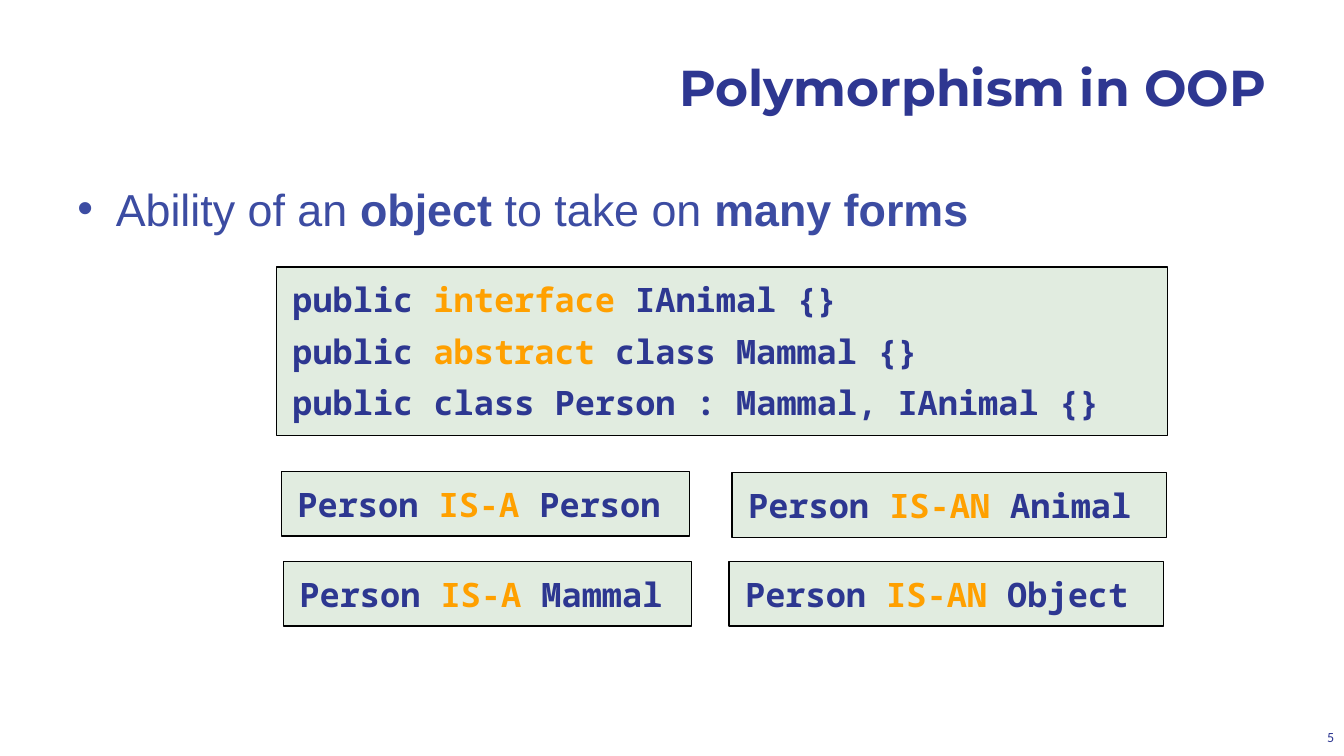
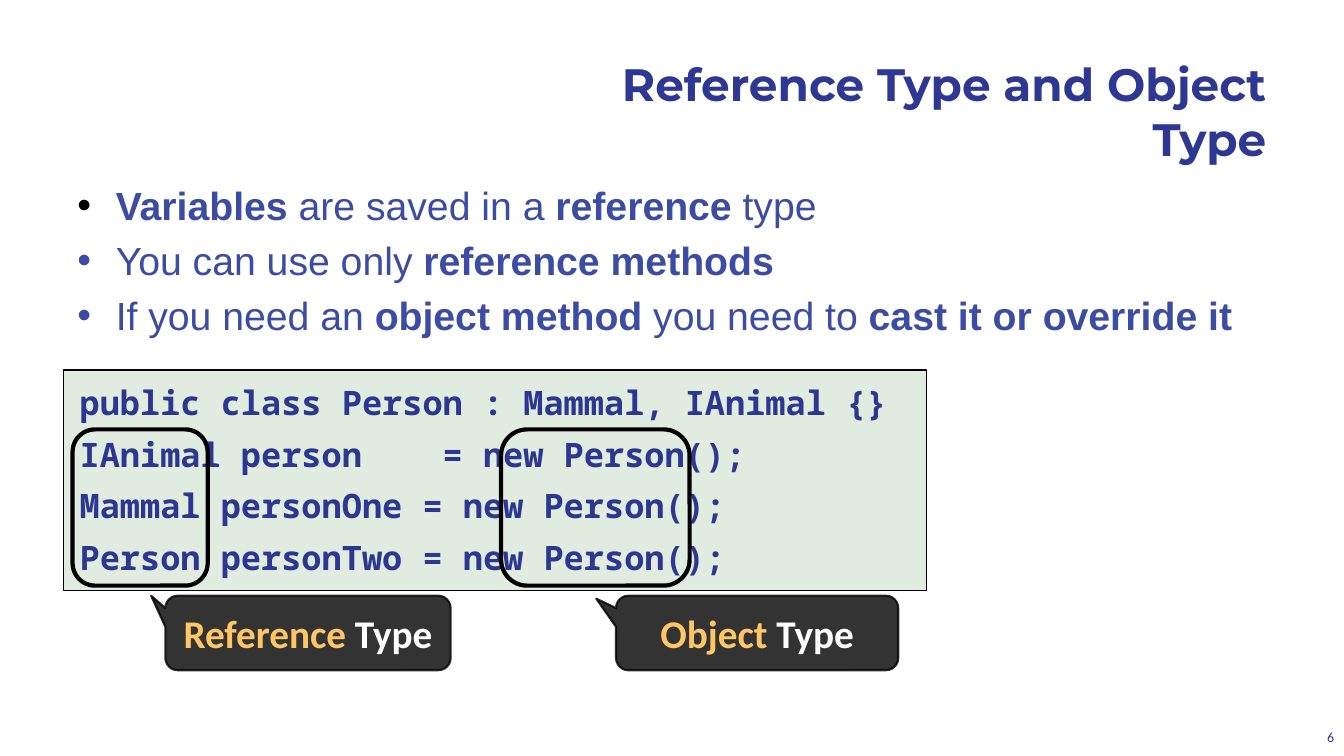
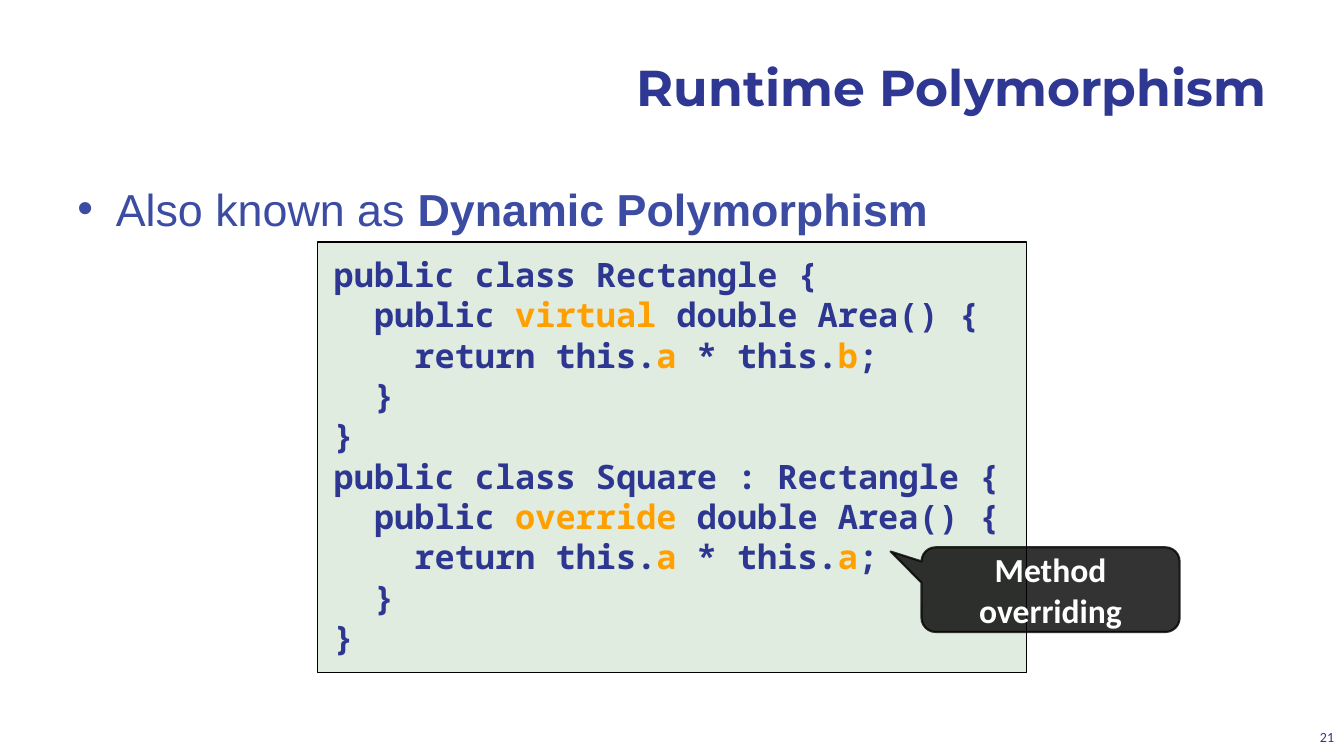
from lxml import etree
from pptx import Presentation
from pptx import util as u
from pptx.dml.color import RGBColor
from pptx.enum import shapes, text
from pptx.oxml import ns

PX = 9144  # EMU in one px, 100 px to the inch


class Theme:
    navy, title_navy, blue = "2D3791", "2E3791", "3C4CA2"
    black, white, green = "000000", "FFFFFF", "3A8235"
    orange, amber = "FFA000", "FFC666"

    # Font formats: plain text, and what changes between bars
    title = dict(name="Montserrat", size=36, bold=True, color=title_navy)
    body = dict(name="Arial", size=32, bold=False, color=blue)
    code = dict(name="Noto Sans Mono", size=24, bold=True, color=navy)
    label = dict(name="Calibri", size=28, bold=True, color=white)
    number = dict(name="Calibri", size=10, bold=False, color=navy)
    strong = dict(bold=True)
    keyword = dict(color=orange)
    highlight = dict(color=amber)

    # Shape styles
    code_box = dict(
        kind=shapes.MSO_SHAPE.RECTANGLE, fill=green, fill_alpha=15, line_alpha=100,
        line=1, font=code, accent=keyword, gap=4, margins=(16, 12),
        align=text.PP_ALIGN.LEFT, anchor=text.MSO_ANCHOR.TOP,
        fit=text.MSO_AUTO_SIZE.SHAPE_TO_FIT_TEXT)
    listing = dict(code_box, gap=0)
    callout = dict(
        kind=shapes.MSO_SHAPE.ROUNDED_RECTANGULAR_CALLOUT, fill=black,
        fill_alpha=80, line_alpha=80, line=1.5, font=label, accent=highlight,
        gap=0, margins=(10, 5), align=text.PP_ALIGN.CENTER,
        anchor=text.MSO_ANCHOR.MIDDLE, fit=text.MSO_AUTO_SIZE.NONE)
    small_callout = dict(callout, font=dict(label, size=24))
    ring = dict(callout, kind=shapes.MSO_SHAPE.ROUNDED_RECTANGLE, fill=None,
                line_alpha=100, line=3)


def write(para, words, base, accent=None):
    """Add runs to a paragraph; words between bars take the accent format."""
    for i, piece in enumerate(words.split("|")):
        if not piece:
            continue
        span = para.add_run()
        span.text = piece
        values = {**base, **(accent or {})} if i % 2 else dict(base)
        span.font.color.rgb = RGBColor.from_string(values.pop("color"))
        values["size"] = u.Pt(values["size"])
        for name, value in values.items():
            setattr(span.font, name, value)


def set_frame(frame, margins=(10, 5), **values):
    """Set the margins, wrapping and other values of a text frame."""
    across, down = (m * PX for m in margins)
    values.update(margin_left=across, margin_right=across, margin_top=down,
                  margin_bottom=down, word_wrap=True)
    for name, value in values.items():
        setattr(frame, name, value)


# Slide content: boxes are (style, left, top, width, height, lines, pointer)
PAGES = [
    dict(
        title="Polymorphism in OOP", number="5", title_size=36, body_size=32,
        bullets=["Ability of an |object| to take on |many forms|"],
        boxes=[
            (Theme.code_box, 274, 265, 884, 167,
             ["public |interface| IAnimal {}",
              "public |abstract| class Mammal {}",
              "public class Person : Mammal, IAnimal {}"], None),
            (Theme.code_box, 279, 468, 405, 64, ["Person |IS-A| Person"], None),
            (Theme.code_box, 281, 557, 405, 64, ["Person |IS-A| Mammal"], None),
            (Theme.code_box, 726, 469, 431, 64, ["Person |IS-AN| Animal"], None),
            (Theme.code_box, 723, 557, 431, 64, ["Person |IS-AN| Object"], None),
        ]),
    dict(
        title="Reference Type and Object Type", number="6", title_size=32.4,
        body_size=28, first_bullet=Theme.black,
        bullets=["|Variables| are saved in a |reference| type",
                 "You can use only |reference methods|",
                 "If you need an |object method |you need to |cast it or override it|"],
        boxes=[
            (Theme.code_box, 63, 367, 856, 219,
             ["public class Person : Mammal, IAnimal {}",
              "IAnimal person    = new Person();",
              "Mammal personOne = new Person();",
              "Person personTwo = new Person();"], None),
            (Theme.ring, 72, 426, 134, 155, [], None),
            (Theme.callout, 164, 591, 283, 74, ["|Reference| Type"], (-0.55, -0.5)),
            (Theme.ring, 497, 426, 187, 155, [], None),
            (Theme.callout, 611, 591, 280, 74, ["|Object| Type"], (-0.57, -0.46)),
        ]),
    dict(
        title="Runtime Polymorphism", number="21", title_size=36, body_size=32,
        bullets=["Also known as |Dynamic Polymorphism|"],
        boxes=[
            (Theme.listing, 315, 240, 703, 427,
             ["public class Rectangle {",
              "  public |virtual| double Area() {",
              "    return this.|a| * this.|b|;",
              "  }",
              "}",
              "public class Square : Rectangle {",
              "  public |override| double Area() {",
              "    return this.|a| * this.|a|;",
              "  }",
              "}"], None),
            # Stands clear of the code line that it points at
            (Theme.small_callout, 914, 543, 256, 84, ["Method overriding"],
             (-0.62, -0.45)),
        ]),
]

deck = Presentation()
deck.slide_width, deck.slide_height = 1333 * PX, 750 * PX

for content in PAGES:
    page = deck.slides.add_slide(deck.slide_layouts[5])

    # Title
    title = page.shapes.title
    title.left, title.top, title.width, title.height = (
        v * PX for v in (596, 51, 670, 88))
    set_frame(title.text_frame, vertical_anchor=text.MSO_ANCHOR.TOP,
              auto_size=text.MSO_AUTO_SIZE.NONE)
    para = title.text_frame.paragraphs[0]
    para.alignment = text.PP_ALIGN.RIGHT
    write(para, content["title"], dict(Theme.title, size=content["title_size"]))

    # Bulleted body
    body = page.shapes.add_textbox(*(v * PX for v in (67, 175, 1200, 495)))
    set_frame(body.text_frame)
    for i, words in enumerate(content["bullets"]):
        para = body.text_frame.paragraphs[0] if i == 0 else body.text_frame.add_paragraph()
        write(para, words, dict(Theme.body, size=content["body_size"]), Theme.strong)
        props = para._p.get_or_add_pPr()
        props.set("marL", str(38 * PX))
        props.set("indent", str(-38 * PX))
        before = etree.SubElement(props, ns.qn("a:spcBef"))
        etree.SubElement(before, ns.qn("a:spcPct"), val="20000")
        color = content.get("first_bullet", Theme.blue) if i == 0 else Theme.blue
        bullet_color = etree.SubElement(props, ns.qn("a:buClr"))
        etree.SubElement(bullet_color, ns.qn("a:srgbClr"), val=color)
        etree.SubElement(props, ns.qn("a:buFont"), typeface="Arial")
        etree.SubElement(props, ns.qn("a:buChar"), char="•")

    # Slide number
    number = page.shapes.add_textbox(*(v * PX for v in (1293, 712, 40, 32)))
    set_frame(number.text_frame, vertical_anchor=text.MSO_ANCHOR.BOTTOM)
    para = number.text_frame.paragraphs[0]
    para.alignment = text.PP_ALIGN.RIGHT
    write(para, content["number"], Theme.number)

    # Code boxes, rings and callouts
    for style, left, top, width, height, lines, pointer in content["boxes"]:
        box = page.shapes.add_shape(
            style["kind"], left * PX, top * PX, width * PX, height * PX)
        box.shadow.inherit = False
        if pointer:
            box.adjustments[0], box.adjustments[1] = pointer
        box.line.width = u.Pt(style["line"])
        box.line.color.rgb = RGBColor.from_string(Theme.black)
        if style["fill"]:
            box.fill.solid()
            box.fill.fore_color.rgb = RGBColor.from_string(style["fill"])
        else:
            box.fill.background()
        for where, key in (("a:solidFill", "fill_alpha"),
                           ("a:ln/a:solidFill", "line_alpha")):
            for color in box._element.spPr.xpath(where + "/a:srgbClr"):
                etree.SubElement(color, ns.qn("a:alpha"), val=str(style[key] * 1000))
        if not lines:
            continue
        set_frame(box.text_frame, style["margins"], vertical_anchor=style["anchor"],
                  auto_size=style["fit"])
        for i, words in enumerate(lines):
            para = box.text_frame.paragraphs[0] if i == 0 else box.text_frame.add_paragraph()
            para.alignment = style["align"]
            para.space_before = para.space_after = u.Pt(style["gap"])
            write(para, words, style["font"], style["accent"])

deck.save("out.pptx")
